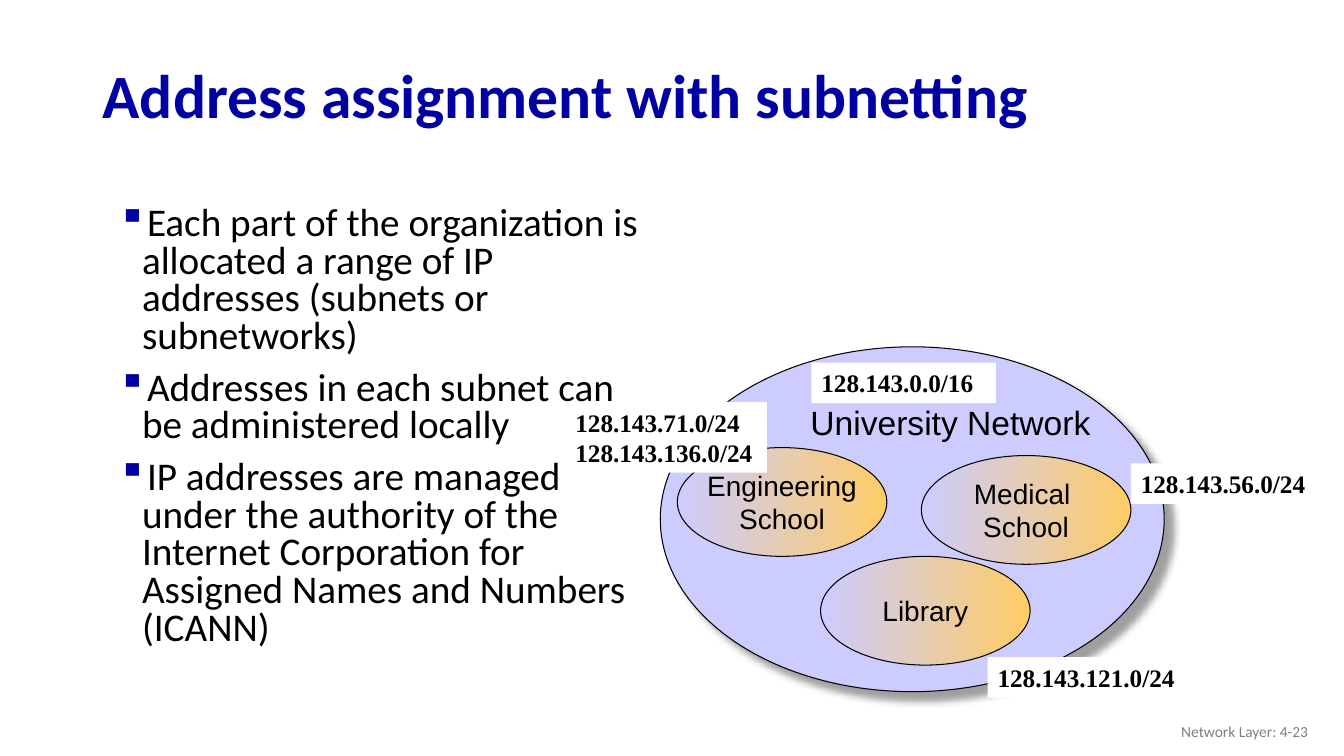
from lxml.etree import SubElement
from pptx import Presentation
from pptx.dml.color import RGBColor
from pptx.enum.shapes import MSO_SHAPE
from pptx.enum.text import MSO_ANCHOR, PP_ALIGN
from pptx.oxml.ns import qn
from pptx.util import Cm, Pt

NAVY = RGBColor(0x00, 0x00, 0xA3)
BLACK = RGBColor(0x00, 0x00, 0x00)
GRAY = RGBColor(0x80, 0x80, 0x80)
WHITE = RGBColor(0xFF, 0xFF, 0xFF)
LILAC = RGBColor(0xCC, 0xCC, 0xFF)
AMBER = RGBColor(0xFF, 0xCC, 0x66)

# Content: boxes are left, top, width, height in cm
TITLE = "Address assignment with subnetting"
POINTS = [
    "Each part of the organization is allocated a range of IP addresses (subnets or subnetworks)",
    "Addresses in each subnet can be administered locally",
    "IP addresses are managed under the authority of the Internet Corporation for "
    "Assigned Names and Numbers (ICANN)",
]
FOOTER = "Network Layer: 4-23"
CAMPUS = ("University Network", (16.64, 8.74, 12.7, 8.69))
SCHOOL_SIZE = (5.28, 2.74)
SCHOOLS = [
    ("Medical \nSchool", (23.22, 11.48)),
    ("Library", (20.68, 14.02)),
    ("Engineering\nSchool", (17.07, 11.28)),
]
LABELS = [
    ("128.143.0.0/16", (20.45, 9.14, 4.65, 1.02)),
    ("128.143.71.0/24\n128.143.136.0/24", (14.25, 10.13, 5.08, 1.78)),
    ("128.143.56.0/24", (28.5, 11.68, 5.36, 1.02)),
    ("128.143.121.0/24", (24.89, 16.56, 5.72, 1.02)),
]

deck = Presentation()
deck.slide_width, deck.slide_height = Cm(33.87), Cm(19.05)
slide = deck.slides.add_slide(deck.slide_layouts[6])


def style(frame, name, size, color=BLACK, bold=False, align=PP_ALIGN.LEFT,
          anchor=MSO_ANCHOR.TOP, wrap=True):
    frame.word_wrap = wrap
    frame.vertical_anchor = anchor
    for para in frame.paragraphs:
        para.alignment = align
        for run in para.runs:
            font = run.font
            font.name, font.size, font.bold = name, Pt(size), bold
            font.color.rgb = color


def add_text(box, text, *look, **more):
    frame = slide.shapes.add_textbox(*map(Cm, box)).text_frame
    frame.text = text
    style(frame, *look, **more)
    return frame


def add_form(kind, box):
    shape = slide.shapes.add_shape(kind, *map(Cm, box))
    shape.shadow.inherit = False
    return shape


def add_oval(box):
    oval = add_form(MSO_SHAPE.OVAL, box)
    oval.line.color.rgb = BLACK
    oval.line.width = Pt(0.75)
    return oval


def add_bullet(para):
    props = para._p.get_or_add_pPr()
    props.set("marL", str(Cm(0.99)))
    props.set("indent", str(Cm(-0.61)))
    tint = SubElement(props, qn("a:buClr"))
    SubElement(tint, qn("a:srgbClr"), val=str(NAVY))
    SubElement(props, qn("a:buChar"), char="▪")


def add_shadow(shape):
    effects = shape._element.spPr.find(qn("a:effectLst"))
    outer = SubElement(effects, qn("a:outerShdw"), blurRad=str(Pt(5)),
                       dist=str(Pt(8.5)), dir="2700000", algn="ctr", rotWithShape="0")
    tint = SubElement(outer, qn("a:srgbClr"), val=str(GRAY))
    SubElement(tint, qn("a:alpha"), val="75000")


# Title, bullets and footer
head = add_text((2.34, 1.24, 29.21, 2.49), TITLE, "Calibri", 44, NAVY, True,
                anchor=MSO_ANCHOR.MIDDLE)
head.paragraphs[0].line_spacing = 0.9
body = add_text((2.34, 5.08, 14.4, 12.09), "\n".join(POINTS), "Calibri", 28)
for rank, para in enumerate(body.paragraphs):
    add_bullet(para)
    para.line_spacing = 0.8
    if rank:
        para.space_before = Pt(10)
add_text((25.6, 17.91, 7.62, 1.02), FOOTER, "Calibri", 11, GRAY,
         align=PP_ALIGN.RIGHT, anchor=MSO_ANCHOR.MIDDLE)

# University network
text, box = CAMPUS
campus = add_oval(box)
campus.fill.solid()
campus.fill.fore_color.rgb = LILAC
add_shadow(campus)
campus.text_frame.text = text
campus.text_frame.margin_right = 0
style(campus.text_frame, "Arial", 24, align=PP_ALIGN.RIGHT, wrap=False)

# Schools
for text, spot in SCHOOLS:
    school = add_oval(spot + SCHOOL_SIZE)
    school.fill.gradient()
    school.fill.gradient_angle = 0
    for stop, color in zip(school.fill.gradient_stops, (LILAC, AMBER)):
        stop.color.rgb = color
    school.text_frame.text = text
    style(school.text_frame, "Arial", 20, align=PP_ALIGN.CENTER,
          anchor=MSO_ANCHOR.MIDDLE, wrap=False)

# Address labels
for text, box in LABELS:
    label = add_form(MSO_SHAPE.RECTANGLE, box)
    label.fill.solid()
    label.fill.fore_color.rgb = WHITE
    label.line.fill.background()
    label.text_frame.paragraphs[0].text = text
    style(label.text_frame, "Times New Roman", 18, bold=True)

deck.save("out.pptx")
